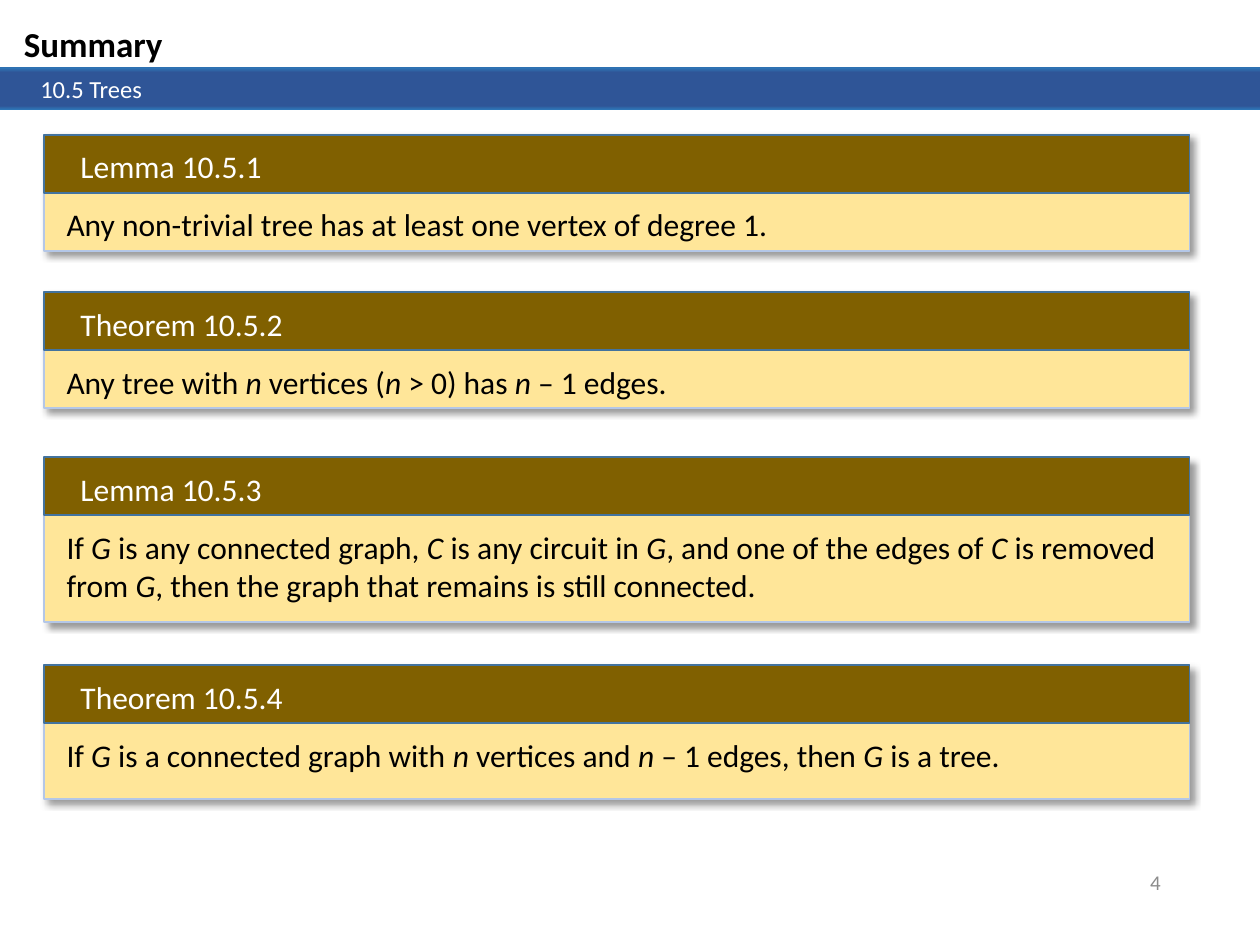
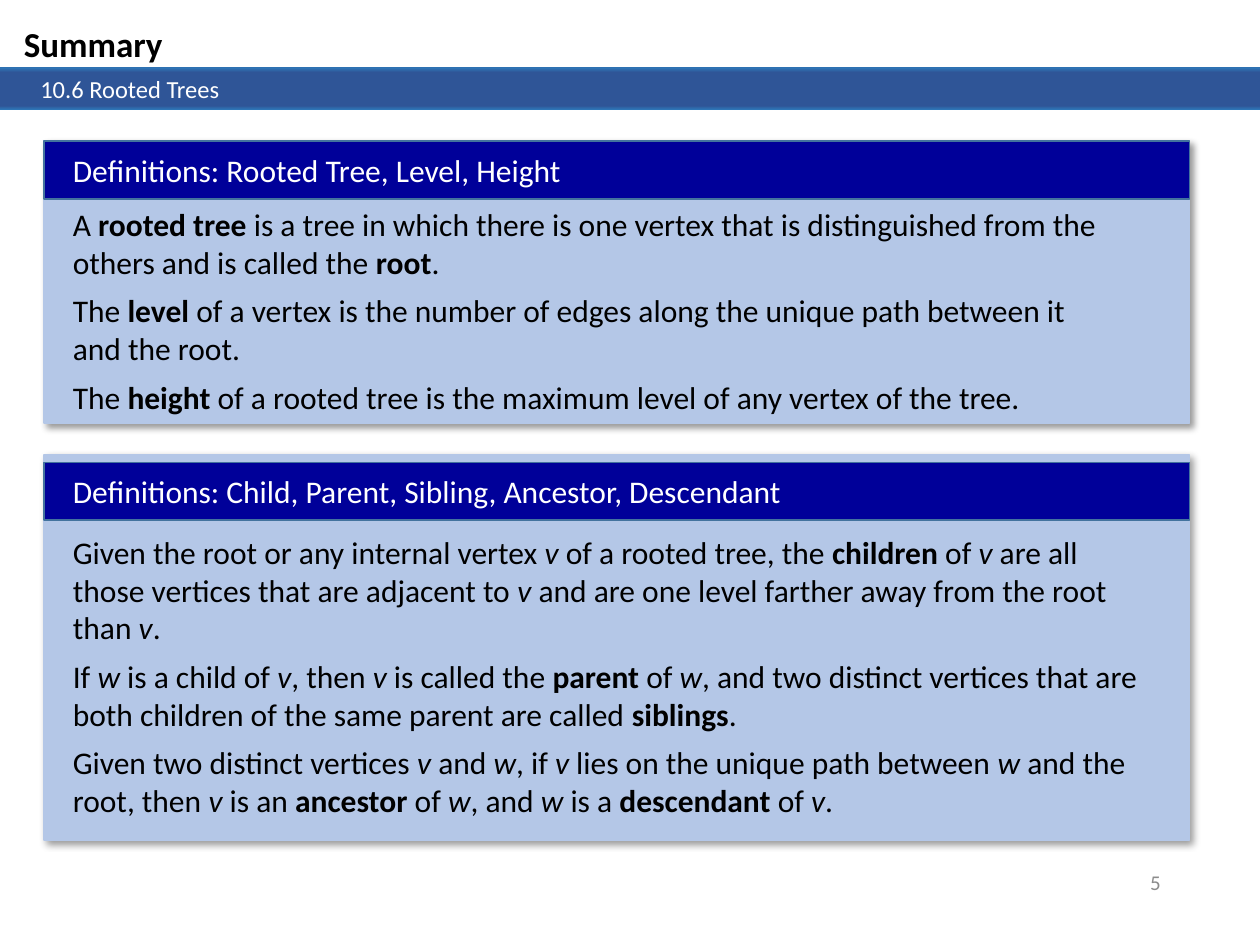
from lxml.etree import SubElement
from pptx import Presentation
from pptx.dml.color import RGBColor
from pptx.enum.shapes import MSO_SHAPE as SHAPE
from pptx.enum.text import MSO_ANCHOR as ANCHOR, PP_ALIGN as ALIGN
from pptx.oxml.ns import qn
from pptx.util import Inches, Pt

WHITE = RGBColor(0xFF, 0xFF, 0xFF)
BLACK = RGBColor(0x00, 0x00, 0x00)
GRAY = RGBColor(0x8C, 0x8C, 0x8C)
BAND_EDGE = RGBColor(0x2E, 0x75, 0xB6)
BAND_CORE = RGBColor(0x2F, 0x55, 0x97)
HEADER_LINE = RGBColor(0x43, 0x73, 0x9E)
PALE_BLUE = RGBColor(0xB4, 0xC7, 0xE7)
NAVY = RGBColor(0x00, 0x00, 0x99)
CREAM = RGBColor(0xFF, 0xE6, 0x99)
BROWN = RGBColor(0x80, 0x60, 0x00)

FONT = "Calibri"
BAND_STOPS = [(0, BAND_EDGE), (11, BAND_CORE), (91, BAND_CORE), (100, BAND_EDGE)]
CARD_LEFT, CARD_WIDTH, HEADER_HEIGHT = 0.35, 9.09, 0.46


def split_marks(text):
    """Yield (text, bold, italic); *stars* mark bold and _underscores_ italic."""
    for i, bold_part in enumerate(text.split("*")):
        for j, part in enumerate(bold_part.split("_")):
            if part:
                yield part, i % 2 == 1, j % 2 == 1


def write(tf, *paragraphs, size=18, color=BLACK, bold=False, align=ALIGN.LEFT,
          anchor=ANCHOR.TOP, after=0):
    tf.word_wrap = True
    tf.vertical_anchor = anchor
    for i, text in enumerate(paragraphs):
        p = tf.add_paragraph() if i else tf.paragraphs[0]
        p.alignment = align
        p.space_after = Pt(after)
        for part, strong, italic in split_marks(text):
            r = p.add_run()
            r.text = part
            r.font.name = FONT
            r.font.size = Pt(size)
            r.font.bold = bold or strong
            r.font.italic = italic
            r.font.color.rgb = color


class Deck:
    def __init__(self):
        self.prs = Presentation()
        self.prs.slide_width = Inches(10)
        self.prs.slide_height = Inches(7.5)
        self.shapes = None

    def slide(self, section, number):
        s = self.prs.slides.add_slide(self.prs.slide_layouts[6])
        self.shapes = s.shapes
        self.band(0.53, 0.3)
        self.text(7.06, 6.8, 2.25, 0.4, str(number), size=12, color=GRAY,
                  align=ALIGN.RIGHT, anchor=ANCHOR.MIDDLE)
        tf = self.band(0.54, 0.33).text_frame
        tf.margin_left = Inches(0.32)
        write(tf, section, size=14, color=WHITE)
        self.text(0.09, 0.13, 2.69, 0.44, "Summary", size=20, bold=True)

    def rect(self, x, y, w, h, fill=None, line=None, parent=None):
        sp = (parent or self.shapes).add_shape(
            SHAPE.RECTANGLE, Inches(x), Inches(y), Inches(w), Inches(h))
        sp.shadow.inherit = False
        if fill is not None:
            sp.fill.solid()
            sp.fill.fore_color.rgb = fill
        if line is None:
            sp.line.fill.background()
        else:
            sp.line.color.rgb = line
            sp.line.width = Pt(1)
        return sp

    def band(self, y, h):
        sp = self.rect(0, y, 10, h)
        sp.fill.gradient()
        sp.fill.gradient_angle = 270
        stops = sp._element.spPr.find(".//" + qn("a:gsLst"))
        for stop in list(stops):
            stops.remove(stop)
        for percent, color in BAND_STOPS:
            stop = SubElement(stops, qn("a:gs"), pos=str(percent * 1000))
            SubElement(stop, qn("a:srgbClr"), val=str(color))
        return sp

    def drop_shadow(self, sp):
        effects = sp._element.spPr.find(qn("a:effectLst"))
        shadow = SubElement(effects, qn("a:outerShdw"), blurRad=str(Pt(4)),
                            dist=str(Pt(3)), dir="2700000", algn="tl", rotWithShape="0")
        color = SubElement(shadow, qn("a:srgbClr"), val=str(BLACK))
        SubElement(color, qn("a:alpha"), val="40000")

    def text(self, x, y, w, h, *paragraphs, parent=None, **style):
        sp = (parent or self.shapes).add_textbox(Inches(x), Inches(y), Inches(w), Inches(h))
        write(sp.text_frame, *paragraphs, **style)

    def card(self, y, h, heading, paragraphs, fill, header_fill, heading_at, body_at,
             body_size, rim=0):
        group = self.shapes.add_group_shape().shapes
        self.drop_shadow(self.rect(CARD_LEFT, y, CARD_WIDTH, h, fill, PALE_BLUE, group))
        top = y + rim
        self.rect(CARD_LEFT, top, CARD_WIDTH, HEADER_HEIGHT, header_fill, HEADER_LINE, group)
        (hx, hy), (bx, by) = heading_at, body_at
        self.text(hx, top + hy, 8.07, 0.4, heading, parent=group, color=WHITE)
        self.text(bx, top + by, *body_size, *paragraphs, parent=group, after=6)

    def result(self, y, h, heading, statement):
        self.card(y, h, heading, [statement], CREAM, BROWN, (0.54, 0.05), (0.43, 0.51),
                  (8.84, h - 0.52))

    def definition(self, y, h, heading, paragraphs, body_y, body_size, rim=0):
        self.card(y, h, heading, paragraphs, PALE_BLUE, NAVY, (0.48, 0.03), (0.48, body_y),
                  body_size, rim)


def trees(deck):
    deck.slide("10.5 Trees", 4)
    results = [
        (1.07, 0.92, "Lemma 10.5.1",
         "Any non-trivial tree has at least one vertex of degree 1."),
        (2.32, 0.92, "Theorem 10.5.2",
         "Any tree with _n_ vertices (_n_ > 0) has _n_ – 1 edges."),
        (3.63, 1.31, "Lemma 10.5.3",
         "If _G_ is any connected graph, _C_ is any circuit in _G_, and one of the edges "
         "of _C_ is removed from _G_, then the graph that remains is still connected."),
        (5.28, 1.06, "Theorem 10.5.4",
         "If _G_ is a connected graph with _n_ vertices and _n_ – 1 edges, "
         "then _G_ is a tree."),
    ]
    for result in results:
        deck.result(*result)


def rooted_trees(deck):
    deck.slide("10.6 Rooted Trees", 5)
    deck.definition(1.12, 2.24, "Definitions: Rooted Tree, Level, Height", [
        "A *rooted tree *is a tree in which there is one vertex that is distinguished "
        "from the others and is called the *root*.",
        "The *level* of a vertex is the number of edges along the unique path between it "
        "and the root.",
        "The *height* of a rooted tree is the maximum level of any vertex of the tree.",
    ], 0.46, (8.46, 1.78))
    deck.definition(3.61, 3.06, "Definitions: Child, Parent, Sibling, Ancestor, Descendant", [
        "Given the root or any internal vertex _v_ of a rooted tree, the *children *of _v_ "
        "are all those vertices that are adjacent to _v_ and are one level farther away "
        "from the root than _v_.",
        "If _w_ is a child of _v_, then _v_ is called the *parent* of _w_, and two distinct "
        "vertices that are both children of the same parent are called *siblings*.",
        "Given two distinct vertices _v_ and _w_, if _v_ lies on the unique path between "
        "_w_ and the root, then _v_ is an *ancestor* of _w_, and _w_ is a *descendant* "
        "of _v_.",
    ], 0.51, (8.79, 2.39), rim=0.06)


def main():
    deck = Deck()
    trees(deck)
    rooted_trees(deck)
    deck.prs.save("out.pptx")


if __name__ == "__main__":
    main()
